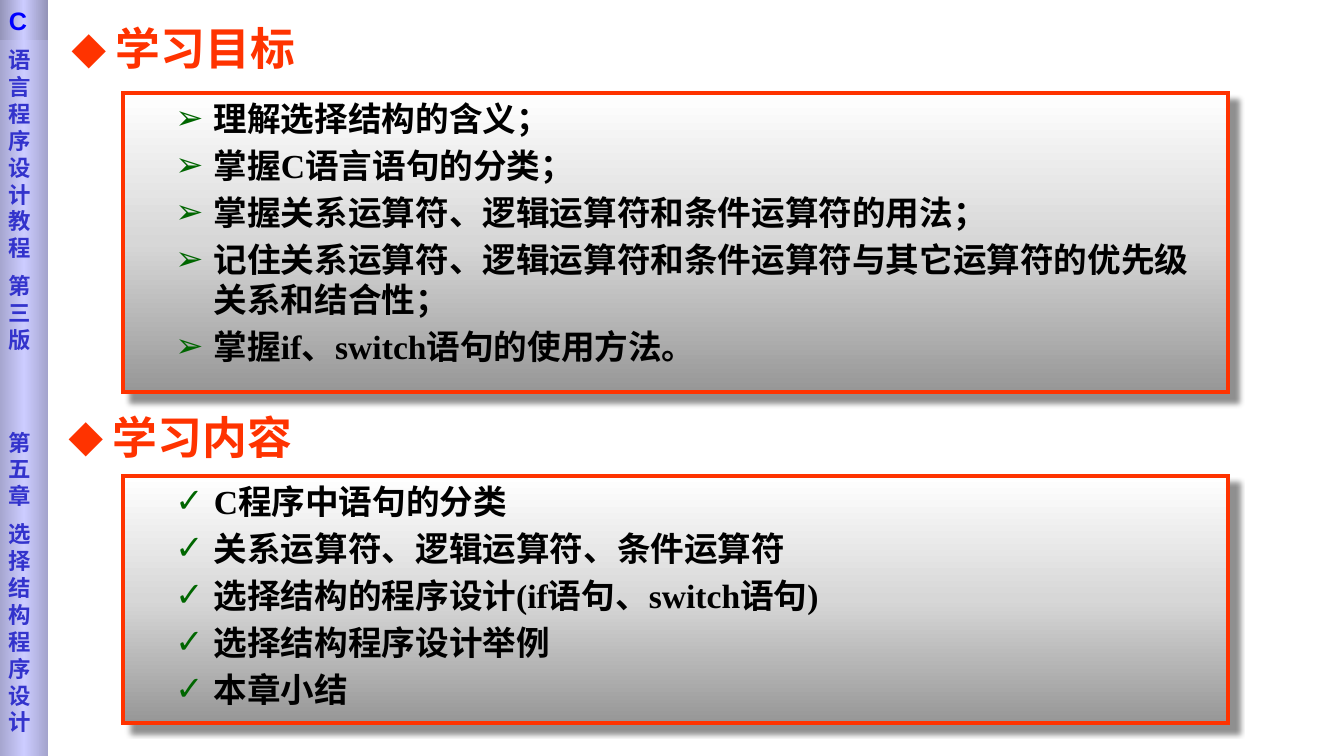
import copy
import pptx
import pptx.util
import pptx.dml.color
import pptx.enum.shapes
import pptx.enum.text
import pptx.oxml
import pptx.oxml.ns

THEME = {
    "heading": "FF3300", "ink": "000000", "mark": "006600",
    "panel": ("FFFFFF", "D7D7D7", "979797"),
    "strip": ("A4A4CD", "CCCCFF", "A4A4CD"),
    "strip_top": ("9292B6", "CCCCFF", "9292B6"),
    "strip_text": "3333CC", "strip_letter": "0000FF",
    "heading_size": 32, "list_size": 24, "letter_size": 18, "strip_size": 16,
    "heading_font": "Arial", "list_font": "Times New Roman",
    "strip_font": "DejaVu Sans", "mark_font": "DejaVu Sans",
}
CELL = pptx.util.Inches(0.1)  # the slide is a grid of 133.3 columns and 75 rows
COLUMNS, ROWS = 133.3, 75
NS = pptx.oxml.ns.nsdecls("a")
SHADOW = (f'<a:effectLst {NS}><a:outerShdw blurRad="50800" dist="106680" dir="2700000">'
          '<a:srgbClr val="000000"><a:alpha val="43000"/></a:srgbClr></a:outerShdw></a:effectLst>')
SQUARE_CORNERS = f'<a:miter {NS} lim="800000"/>'


def paint(area, colors, angle):
    """Fill an area with three evenly spaced gradient colours."""
    area.fill.gradient()
    area.fill.gradient_angle = angle
    stop_list = area._element.spPr.find(".//" + pptx.oxml.ns.qn("a:gsLst"))
    stop_list.append(copy.deepcopy(stop_list[-1]))
    for position, (stop, color) in enumerate(zip(area.fill.gradient_stops, colors)):
        stop.position = position / 2
        stop.color.rgb = pptx.dml.color.RGBColor.from_string(color)


def write(area, lines, font, size, color, gaps, mark=None, mark_color=None, indent=(0, 0), level=0):
    """Write lines as paragraphs, with an optional bullet mark."""
    frame = area.text_frame
    frame.word_wrap = True
    frame.auto_size = pptx.enum.text.MSO_AUTO_SIZE.NONE
    frame.vertical_anchor = pptx.enum.text.MSO_ANCHOR.TOP
    for number, (line, gap) in enumerate(zip(lines, gaps)):
        paragraph = frame.add_paragraph() if number else frame.paragraphs[0]
        paragraph.alignment = pptx.enum.text.PP_ALIGN.LEFT
        paragraph.level = level
        paragraph.line_spacing = 1.0
        paragraph.space_before = pptx.util.Pt(gap)
        properties = paragraph._p.get_or_add_pPr()
        if mark:
            left, first = indent
            properties.set("marL", str(pptx.util.Inches(left)))
            properties.set("indent", str(pptx.util.Inches(first)))
            for xml in (f'<a:buClr {NS}><a:srgbClr val="{mark_color}"/></a:buClr>',
                        f'<a:buFont {NS} typeface="{THEME["mark_font"]}"/>',
                        f'<a:buChar {NS} char="{mark}"/>'):
                properties.append(pptx.oxml.parse_xml(xml))
        run = paragraph.add_run()
        run.text = line
        run.font.name = font
        run.font.size = pptx.util.Pt(size)
        run.font.bold = True
        run.font.color.rgb = pptx.dml.color.RGBColor.from_string(color)


deck = pptx.Presentation()
deck.slide_width, deck.slide_height = int(COLUMNS * CELL), ROWS * CELL
slide = deck.slides.add_slide(deck.slide_layouts[4])
holders = {holder.placeholder_format.idx: holder for holder in slide.placeholders}
holders[3]._element.getparent().remove(holders[3]._element)

# Headings, each with its framed list: heading holder and place, list holder and rows, mark, lines
sections = [
    ("学习目标", holders[0], (6.1, 1.6), holders[2], (9.2, 29.7), "➢", [
        "理解选择结构的含义；",
        "掌握C语言语句的分类；",
        "掌握关系运算符、逻辑运算符和条件运算符的用法；",
        "记住关系运算符、逻辑运算符和条件运算符与其它运算符的优先级关系和结合性；",
        "掌握if、switch语句的使用方法。"]),
    ("学习内容", holders[1], (5.8, 40.1), holders[4], (47.2, 24.5), "✓", [
        "C程序中语句的分类",
        "关系运算符、逻辑运算符、条件运算符",
        "选择结构的程序设计(if语句、switch语句)",
        "选择结构程序设计举例",
        "本章小结"]),
]
for title, heading, (left, top), panel, (panel_top, panel_height), mark, goals in sections:
    heading.left, heading.top = int(left * CELL), int(top * CELL)
    heading.width, heading.height = int(42.5 * CELL), int(6.3 * CELL)
    write(heading, [title], THEME["heading_font"], THEME["heading_size"], THEME["heading"],
          [0], "◆", THEME["heading"], (0.44, -0.44))

    panel.left, panel.top = int(12.2 * CELL), int(panel_top * CELL)
    panel.width, panel.height = int(109.6 * CELL), int(panel_height * CELL)
    paint(panel, THEME["panel"], 270)
    panel.line.color.rgb = pptx.dml.color.RGBColor.from_string(THEME["heading"])
    panel.line.width = pptx.util.Pt(3)
    panel._element.spPr.find(pptx.oxml.ns.qn("a:ln")).append(pptx.oxml.parse_xml(SQUARE_CORNERS))
    panel._element.spPr.append(pptx.oxml.parse_xml(SHADOW))
    panel.text_frame.margin_left = pptx.util.Inches(0.02)
    write(panel, goals, THEME["list_font"], THEME["list_size"], THEME["ink"],
          [0] + [4.8] * (len(goals) - 1), mark, THEME["mark"], (0.88, -0.38), 1)

# Side strip: the book title runs down, one character to a line
strip_parts = [
    (ROWS, "strip", 0.46, ["语言程序设计教程", "第三版", "第五章", "选择结构程序设计"],
     "strip_font", "strip_size", "strip_text", [0, 8, 54, 8]),
    (4, "strip_top", 0.05, ["C"], "heading_font", "letter_size", "strip_letter", [0]),
]
for rows, fill, margin, words, font, size, color, gaps in strip_parts:
    strip = slide.shapes.add_shape(pptx.enum.shapes.MSO_SHAPE.RECTANGLE,
                                   int(-0.1 * CELL), 0, int(4.9 * CELL), rows * CELL)
    strip.shadow.inherit = False
    strip.line.fill.background()
    paint(strip, THEME[fill], 0)
    strip.text_frame.margin_top = pptx.util.Inches(margin)
    write(strip, words, THEME[font], THEME[size], THEME[color], gaps)

deck.save("out.pptx")
